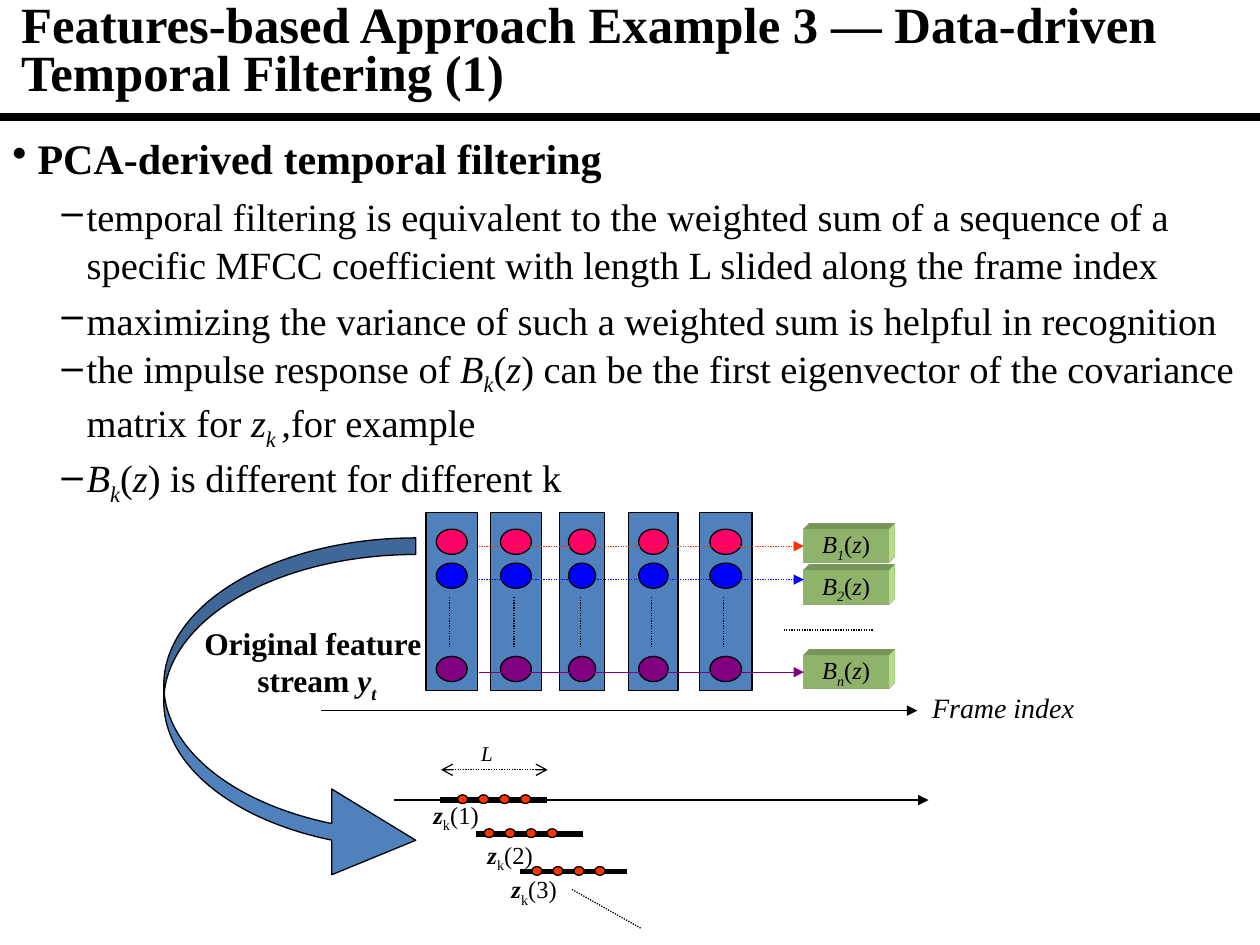
from lxml import etree
from pptx import Presentation
from pptx.dml.color import RGBColor
from pptx.enum.dml import MSO_LINE
from pptx.enum.shapes import MSO_CONNECTOR, MSO_SHAPE as SHAPE
from pptx.enum.text import MSO_ANCHOR as ANCHOR, MSO_AUTO_SIZE, PP_ALIGN as ALIGN
from pptx.oxml import parse_xml
from pptx.oxml.ns import nsdecls, qn
from pptx.util import Pt

BLACK = RGBColor(0x00, 0x00, 0x00)
STEEL = RGBColor(0x4F, 0x81, 0xBD)
PINK = RGBColor(0xFF, 0x00, 0x66)
BLUE = RGBColor(0x00, 0x00, 0xFF)
PURPLE = RGBColor(0x80, 0x00, 0x80)
ORANGE = RGBColor(0xFF, 0x33, 0x00)
LIME = RGBColor(0xCC, 0xFF, 0x99)

DOTTED = MSO_LINE.ROUND_DOT
THIN = 0.75
DEFAULT_INSETS = (7.2, 3.6, 7.2, 3.6)


def write_runs(paragraph, runs, size):
    """Add (text, style) runs; style letters: b bold, i italic, _ subscript."""
    for text, style in runs:
        if text == "\n":
            paragraph.add_line_break()
            continue
        run = paragraph.add_run()
        run.text = text
        formats = {"name": "Times New Roman", "size": Pt(size),
                   "bold": "b" in style, "italic": "i" in style}
        for name, value in formats.items():
            setattr(run.font, name, value)
        run.font.color.rgb = BLACK
        if "_" in style:
            run._r.get_or_add_rPr().set("baseline", "-25000")


def set_frame(frame, wrap, anchor=ANCHOR.TOP, insets=DEFAULT_INSETS):
    left, top, right, bottom = (Pt(inset) for inset in insets)
    formats = {"word_wrap": wrap, "vertical_anchor": anchor,
               "margin_left": left, "margin_top": top,
               "margin_right": right, "margin_bottom": bottom}
    for name, value in formats.items():
        setattr(frame, name, value)


def add_label(slide, box, runs, size, wrap=False, align=ALIGN.LEFT, **frame_formats):
    frame = slide.shapes.add_textbox(*map(Pt, box)).text_frame
    set_frame(frame, wrap, **frame_formats)
    if not wrap:
        frame.auto_size = MSO_AUTO_SIZE.SHAPE_TO_FIT_TEXT
    paragraph = frame.paragraphs[0]
    paragraph.alignment = align
    write_runs(paragraph, runs, size)
    return paragraph


def add_filled(slide, kind, box, fill, outlined=True):
    shape = slide.shapes.add_shape(kind, *map(Pt, box))
    shape.shadow.inherit = False
    shape.fill.solid()
    shape.fill.fore_color.rgb = fill
    if outlined:
        shape.line.color.rgb = BLACK
        shape.line.width = Pt(THIN)
    else:
        shape.line.fill.background()
    return shape


def add_line(slide, start, end, color=BLACK, width=THIN, dash=None, head=None, tail=None):
    line = slide.shapes.add_connector(MSO_CONNECTOR.STRAIGHT, *map(Pt, start + end))
    line.line.color.rgb = color
    line.line.width = Pt(width)
    if dash:
        line.line.dash_style = dash
    properties = line._element.spPr
    outline = line.line._get_or_add_ln()
    for tag, arrow in (("a:headEnd", head), ("a:tailEnd", tail)):
        if arrow:
            etree.SubElement(outline, qn(tag)).set("type", arrow)
    etree.SubElement(properties, qn("a:effectLst"))
    return line


def add_title(slide, box):
    text = "Features-based Approach Example 3 ― Data-driven Temporal Filtering (1)"
    title = add_label(slide, box, [(text, "b")], 29, wrap=True, anchor=ANCHOR.MIDDLE)
    title.line_spacing = 0.8


def add_bullets(slide, box):
    b_k_of_z = [("B", "i"), ("k", "i_"), ("(", ""), ("z", "i")]
    # bullet, size, indent, space before, runs
    points = [
        ("•", 24, 14.4, 4.8, [("PCA-derived temporal filtering", "b")]),
        ("–", 22, 42.5, 4.4, [("temporal filtering is equivalent to the weighted sum of a sequence of a "
                               "specific MFCC coefficient with length L slided along the frame index", "")]),
        ("–", 22, 42.5, 4.4, [("maximizing the variance of such a weighted sum is helpful in recognition", "")]),
        ("–", 22, 42.5, 0, [("the impulse response of ", ""), *b_k_of_z,
                            (") can be the first eigenvector of the covariance matrix for ", ""),
                            ("z", "i"), ("k ", "i_"), (",", "i"), ("for example", "")]),
        ("–", 22, 42.5, 0, [*b_k_of_z, (") is different for different k", "")]),
    ]
    frame = slide.shapes.add_textbox(*map(Pt, box)).text_frame
    set_frame(frame, True)
    for index, (bullet, size, indent, before, runs) in enumerate(points):
        paragraph = frame.add_paragraph() if index else frame.paragraphs[0]
        paragraph.level = 1 if index else 0
        paragraph.space_before = Pt(before)
        paragraph.line_spacing = 1.04
        properties = paragraph._p.get_or_add_pPr()
        properties.set("marL", str(Pt(indent)))
        properties.set("indent", str(-Pt(14.4)))
        etree.SubElement(properties, qn("a:buChar")).set("char", bullet)
        write_runs(paragraph, runs, size)


def add_feature_vector(slide, box):
    left, top, width, _ = box
    add_filled(slide, SHAPE.RECTANGLE, box, STEEL)
    for offset, color in ((9.4, PINK), (28.8, BLUE), (82.1, PURPLE)):
        add_filled(slide, SHAPE.FLOWCHART_CONNECTOR,
                   (left + 0.2 * width, top + offset, 0.6 * width, 14.4), color)
    middle = left + 0.46 * width
    add_line(slide, (middle, top + 48.2), (middle, top + 77), dash=DOTTED)


def add_feature_stream(slide, box):
    left, top, width, height = box
    for offset, vector_width in ((0, 29.5), (36.7, 29.5), (76.3, 25.9), (115.9, 28.1), (156.2, 30.2)):
        add_feature_vector(slide, (left + offset, top, vector_width, height))
    axis = top + height + 11.6
    add_line(slide, (left - 59.8, axis), (left + 280.8, axis), tail="triangle")
    add_label(slide, (left + 282.2, axis - 15.1, 95.8, 26.6), [("Frame index", "i")], 16)


def add_filter_block(slide, box, index):
    block = add_filled(slide, SHAPE.RECTANGLE, box, LIME, outlined=False)
    set_frame(block.text_frame, False, ANCHOR.MIDDLE)
    paragraph = block.text_frame.paragraphs[0]
    paragraph.alignment = ALIGN.CENTER
    write_runs(paragraph, [("B", "i"), (index, "i_"), ("(", ""), ("z", "i"), (")", "")], 14)
    block._element.spPr.append(parse_xml(
        f'<a:scene3d {nsdecls("a")}><a:camera prst="legacyObliqueTopRight"/>'
        '<a:lightRig rig="legacyFlat3" dir="b"/></a:scene3d>'))
    block._element.spPr.append(parse_xml(
        f'<a:sp3d {nsdecls("a")} extrusionH="121900" prstMaterial="legacyMatte">'
        f'<a:extrusionClr><a:srgbClr val="{LIME}"/></a:extrusionClr></a:sp3d>'))
    return block


def add_filter_bank(slide, box):
    left, top, width, _ = box
    block_height = 19.4
    # index, block offset, arrow offset (None: middle of the block), colour, dash
    filters = [("1", 0, None, ORANGE, DOTTED), ("2", 23.8, 28.8, BLUE, DOTTED),
               ("n", 72, None, PURPLE, None)]
    for index, offset, arrow_offset, color, dash in filters:
        block = add_filter_block(slide, (left, top + offset, width, block_height), index)
        joined = arrow_offset is None
        y = top + (offset + block_height / 2 if joined else arrow_offset)
        arrow = add_line(slide, (left - 185.8, y), (left, y), color, dash=dash, tail="triangle")
        if joined:
            arrow.end_connect(block, 1)
    add_line(slide, (left - 11.6, top + 57.6), (left + 39.6, top + 57.6), dash=DOTTED)


def add_window(slide, box, first_dot, label_offset, number):
    left, top, width, _ = box
    add_line(slide, (left, top), (left + width, top), width=3)
    for step in range(4):
        add_filled(slide, SHAPE.OVAL, (left + first_dot + 12 * step, top - 3, 5.8, 5), ORANGE)
    dx, dy = label_offset
    add_label(slide, (left + dx, top + dy, 44, 20),
              [("z", "bi"), ("k", "_"), (f"({number})", "")], 14, wrap=True, insets=(0, 0, 0, 0))


def add_sliding_windows(slide, box):
    left, top, width, _ = box
    add_line(slide, (left, top), (left + width, top), tail="triangle")
    # offset of the window, its first dot, offset of its label
    windows = [(25.9, 0, 10.1, (-3.6, 0)), (46.8, 19.4, 4.4, (6.4, 3.6)), (72, 41, 6.5, (-5.1, 1.5))]
    length = 61
    for number, (dx, dy, first_dot, label_offset) in enumerate(windows, 1):
        add_window(slide, (left + dx, top + dy, length, 0), first_dot, label_offset, number)
    add_line(slide, (left + 26.6, top - 17.3), (left + 26.6 + length, top - 17.3),
             dash=DOTTED, head="arrow", tail="arrow")
    add_label(slide, (left + 49.6, top - 33.8, 34.6, 24.5), [("L", "i")], 12,
              wrap=True, insets=(0, 0, 0, 0))
    add_line(slide, (left + 101.5, top + 51.1), (left + 141.1, top + 73.4), dash=DOTTED)


def add_stream_arrow(slide, box):
    left, top, _, _ = box
    arrow = add_filled(slide, SHAPE.CURVED_RIGHT_ARROW, box, STEEL)
    for index, value in enumerate((0.066, 0.34, 0.333)):
        arrow.adjustments[index] = value
    add_label(slide, (left + 15.8, top + 45.4, 143.3, 50.4),
              [("Original feature ", "b"), ("\n", ""), ("stream ", "b"), ("y", "bi"), ("t", "bi_")],
              18, align=ALIGN.CENTER)


def main():
    deck = Presentation()
    deck.slide_width, deck.slide_height = Pt(720), Pt(540)
    slide = deck.slides.add_slide(deck.slide_layouts[6])
    add_title(slide, (5, 2.9, 715, 54.7))
    add_line(slide, (0, 67), (720, 67), width=4.5)
    add_bullets(slide, (0, 71.3, 720, 208.8))
    add_feature_stream(slide, (243.4, 293, 186.4, 101.5))
    add_filter_bank(slide, (459.4, 302.4, 48.2, 91.4))
    add_sliding_windows(slide, (225.4, 457.2, 305.2, 73.4))
    add_stream_arrow(slide, (93.6, 307.4, 144, 197.3))
    deck.save("out.pptx")


if __name__ == "__main__":
    main()
